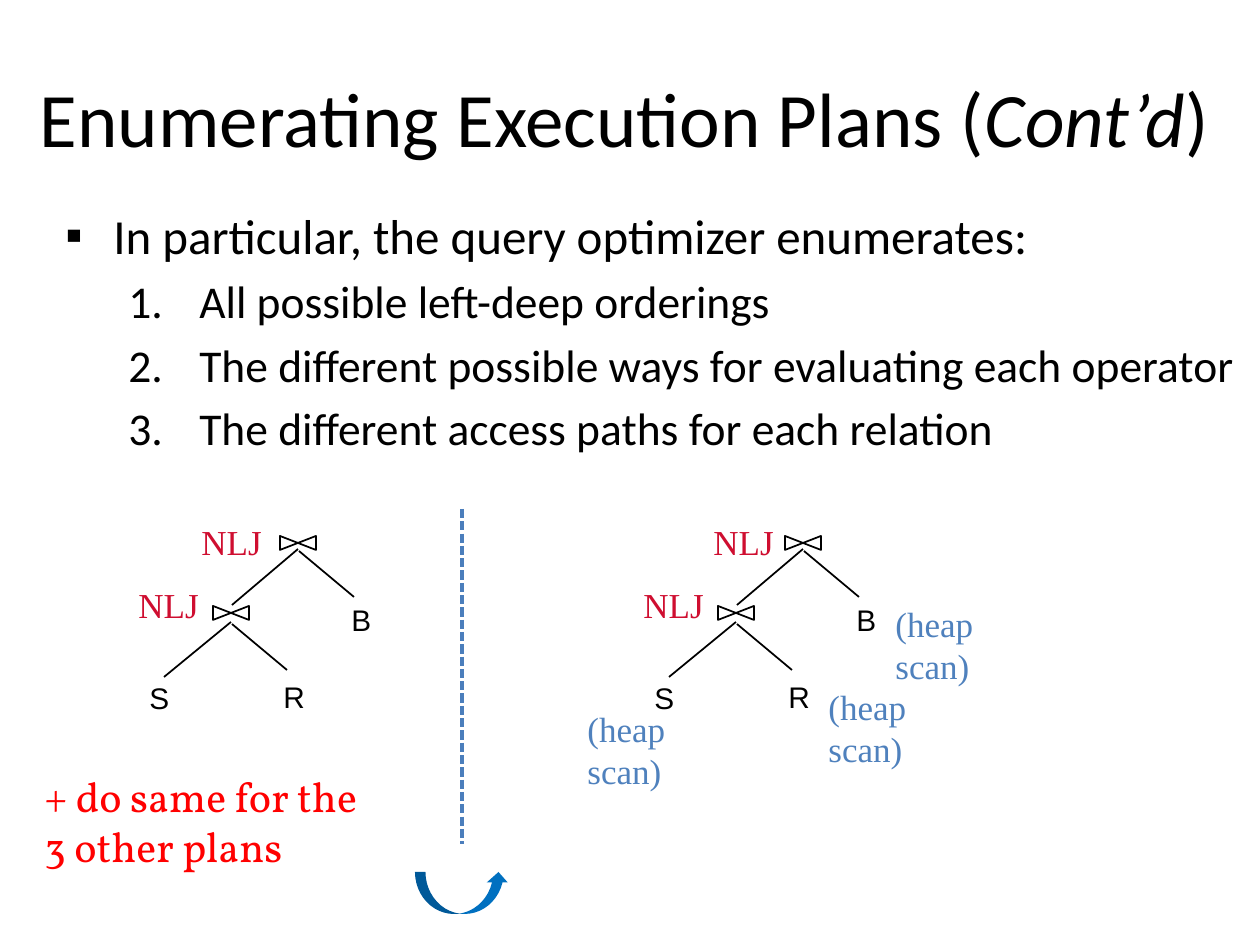
import pptx
import pptx.util
import pptx.dml.color
import pptx.enum.dml
import pptx.enum.shapes
import pptx.enum.text
import pptx.oxml.ns
from lxml import etree

RGBColor = pptx.dml.color.RGBColor
BLACK = RGBColor(0, 0, 0)
RED = RGBColor(0xFF, 0, 0)
CRIMSON = RGBColor(0xCF, 0x0E, 0x30)
BLUE = RGBColor(0x4F, 0x81, 0xBD)
DASH_BLUE = RGBColor(0x4B, 0x7E, 0xBC)
ARROW_BLUE = RGBColor(0, 0x70, 0xC0)

PX = 914400 / 126

TITLE = [("Enumerating Execution Plans (", False), ("Cont’d", True), (")", False)]
INTRO = "In particular, the query optimizer enumerates:"
STEPS = [
    "All possible left-deep orderings",
    "The different possible ways for evaluating each operator",
    "The different access paths for each relation",
]
NOTE = "+ do same for the 3 other plans"

JOINS = [(213, 606), (280, 536)]
JOIN_W, JOIN_H = 36, 14
BRANCHES = [
    (298, 549, 232, 605), (299, 551, 354, 597),
    (231, 622, 164, 677), (232, 624, 287, 670),
]
RELATIONS = [("R", 271, 673), ("S", 137, 674), ("B", 339, 596)]
TREES = [
    {"dx": 0, "methods": [(189, 514), (126, 577)], "scans": []},
    {"dx": 505, "methods": [(701, 514), (631, 577)],
     "scans": [(816, 679), (883, 596), (575, 701)]},
]


def emu(px):
    return pptx.util.Emu(round(px * PX))


def add_text(shapes, text, box, size, font="Calibri", color=BLACK, wrap=True,
             grow=False, align=None, anchor=pptx.enum.text.MSO_ANCHOR.TOP):
    tb = shapes.add_textbox(*map(emu, box))
    tf = tb.text_frame
    tf.word_wrap = wrap
    tf.vertical_anchor = anchor
    if grow:
        tf.auto_size = pptx.enum.text.MSO_AUTO_SIZE.SHAPE_TO_FIT_TEXT
    p = tf.paragraphs[0]
    p.alignment = align
    add_runs(p, text, size, font, color)
    return tf


def add_runs(p, text, size, font="Calibri", color=BLACK):
    for part, italic in [(text, False)] if isinstance(text, str) else text:
        r = p.add_run()
        r.text = part
        r.font.size = pptx.util.Pt(size)
        r.font.name = font
        r.font.italic = italic
        r.font.color.rgb = color


def add_bullet(p, margin, hang, tag, **attrs):
    pPr = p._p.get_or_add_pPr()
    pPr.set("marL", str(emu(margin)))
    pPr.set("indent", str(-emu(hang)))
    if tag == "a:buChar":
        etree.SubElement(pPr, pptx.oxml.ns.qn("a:buFont"), typeface="Arial")
    etree.SubElement(pPr, pptx.oxml.ns.qn(tag), **attrs)


def add_line(shapes, ends, color, width, dash=None):
    c = shapes.add_connector(pptx.enum.shapes.MSO_CONNECTOR.STRAIGHT, *map(emu, ends))
    c.line.color.rgb = color
    c.line.width = pptx.util.Pt(width)
    if dash:
        c.line.dash_style = dash
    etree.SubElement(c._element.spPr, pptx.oxml.ns.qn("a:effectLst"))


def add_join(shapes, x, y):
    right, bottom = x + JOIN_W, y + JOIN_H
    fb = shapes.build_freeform(x, y, scale=PX)
    fb.add_line_segments([(right, bottom), (right, y), (x, bottom)], close=True)
    sp = fb.convert_to_shape()
    sp.shadow.inherit = False
    sp.fill.background()
    sp.line.color.rgb = BLACK
    sp.line.width = pptx.util.Pt(1)


def add_tree(s, dx, methods, scans):
    shapes = s.shapes.add_group_shape().shapes
    for x, y in JOINS:
        add_join(shapes, x + dx, y)
    for x1, y1, x2, y2 in BRANCHES:
        add_line(shapes, (x1 + dx, y1, x2 + dx, y2), BLACK, 1)
    for name, x, y in RELATIONS:
        add_text(shapes, name, (x + dx, y, 47, 48), 17, font="Arial",
                 wrap=False, grow=True)
    for label, width, color, places in [("NLJ", 86, CRIMSON, methods),
                                        ("(heap scan)", 185, BLUE, scans)]:
        for x, y in places:
            add_text(shapes, label, (x, y, width, 54), 20, font="Times New Roman",
                     color=color, wrap=False, grow=True)


def main():
    prs = pptx.Presentation()
    prs.slide_width, prs.slide_height = emu(1260), emu(945)
    s = prs.slides.add_slide(prs.slide_layouts[6])

    add_text(s.shapes, TITLE, (10, 38, 1229, 157), 44,
             align=pptx.enum.text.PP_ALIGN.CENTER,
             anchor=pptx.enum.text.MSO_ANCHOR.MIDDLE)

    tf = add_text(s.shapes, INTRO, (53, 199, 1207, 725), 28)
    add_bullet(tf.paragraphs[0], 48, 48, "a:buChar", char="▪")
    for step in STEPS:
        p = tf.add_paragraph()
        p.level = 1
        p.space_before = pptx.util.Pt(5.2)
        add_bullet(p, 134, 71, "a:buAutoNum", type="arabicPeriod")
        add_runs(p, step, 26)

    add_text(s.shapes, NOTE, (32, 764, 343, 115), 24, font="Vollkorn",
             color=RED, grow=True)
    for tree in TREES:
        add_tree(s, **tree)

    add_line(s.shapes, (462, 509, 462, 844), DASH_BLUE, 1.75,
             pptx.enum.dml.MSO_LINE.SQUARE_DOT)
    arrow = s.shapes.add_shape(pptx.enum.shapes.MSO_SHAPE.CURVED_UP_ARROW,
                               *map(emu, (415, 872, 94, 42)))
    arrow.shadow.inherit = False
    arrow.fill.solid()
    arrow.fill.fore_color.rgb = ARROW_BLUE
    arrow.line.fill.background()

    prs.save("out.pptx")


if __name__ == "__main__":
    main()
